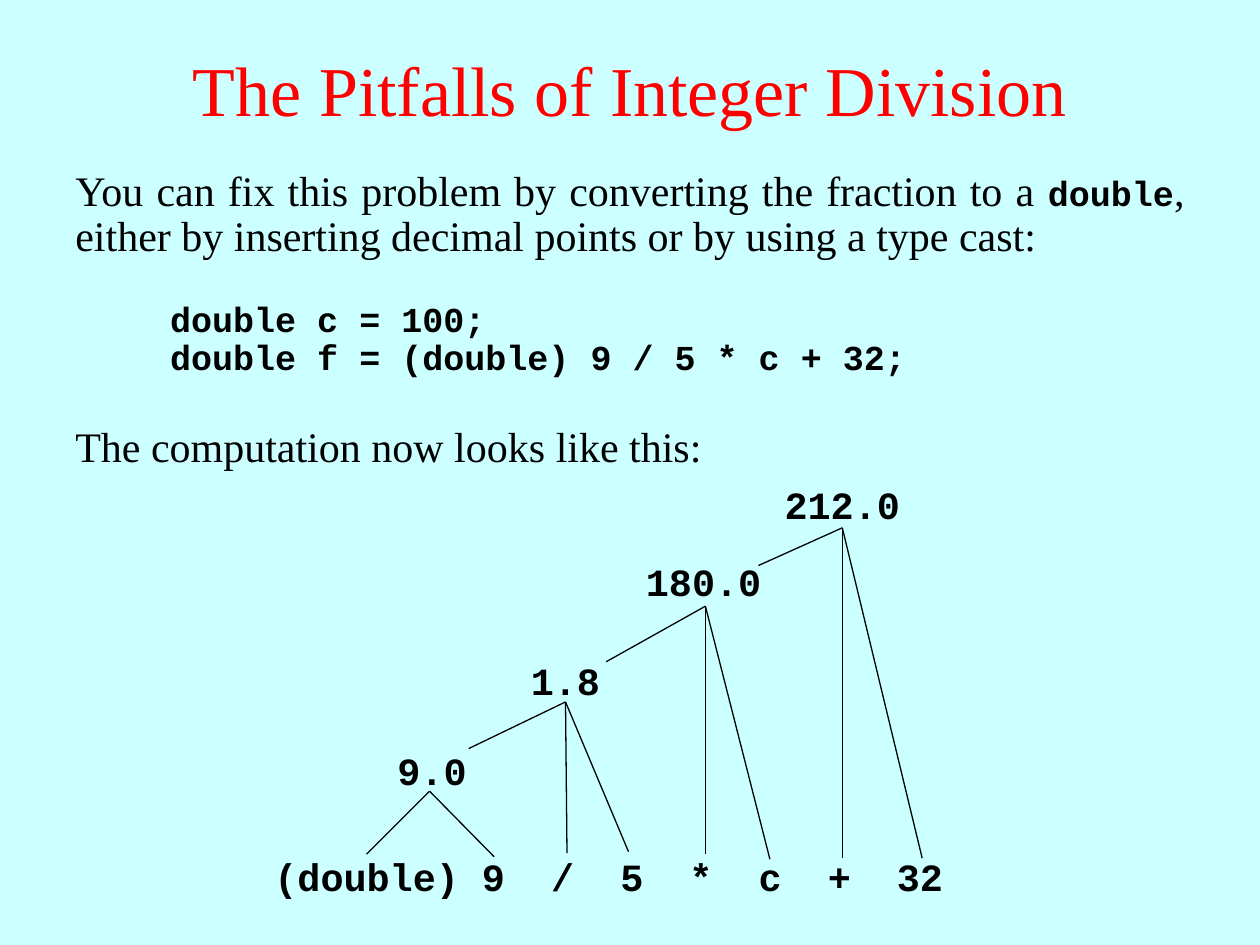
from dataclasses import dataclass

from lxml import etree
from pptx import Presentation
from pptx import util as u
from pptx.dml.color import RGBColor
from pptx.enum import shapes, text
from pptx.oxml import ns


@dataclass(frozen=True)
class Theme:
    background: str = "CCFFFF"
    title: str = "FF0000"
    ink: str = "000000"
    serif: str = "Times New Roman"
    mono: str = "Courier New"
    title_size: int = 40
    body_size: int = 24
    code_size: int = 20
    tree_size: int = 22
    line_width: float = 0.75


def add_run(paragraph, words, *, font, size, color, bold=False):
    run = paragraph.add_run()
    run.text = words
    run.font.name = font
    run.font.size = u.Pt(size)
    run.font.bold = bold
    run.font.color.rgb = RGBColor.from_string(color)


class SlideBuilder:
    """Draws the elements of one slide in a shared theme."""

    def __init__(self, slide, theme):
        self.slide = slide
        self.theme = theme
        fill = slide.background.fill
        fill.solid()
        fill.fore_color.rgb = RGBColor.from_string(theme.background)
        self.body = dict(font=theme.serif, size=theme.body_size, color=theme.ink)
        self.code = dict(font=theme.mono, size=theme.code_size, color=theme.ink, bold=True)
        self.node = {**self.code, "size": theme.tree_size}

    def text_box(self, box, lines, align, spacing=0.9, anchor=text.MSO_ANCHOR.TOP):
        shape = self.slide.shapes.add_textbox(*map(u.Cm, box))
        frame = shape.text_frame
        frame.word_wrap = True
        frame.vertical_anchor = anchor
        for index, runs in enumerate(lines):
            paragraph = frame.add_paragraph() if index else frame.paragraphs[0]
            paragraph.alignment = align
            paragraph.line_spacing = spacing
            for words, style in runs:
                add_run(paragraph, words, **style)

    def title(self, words):
        style = dict(font=self.theme.serif, size=self.theme.title_size, color=self.theme.title)
        self.text_box((0, 0.2, 25.4, 3.18), [[(words, style)]], text.PP_ALIGN.CENTER,
                      spacing=1.0, anchor=text.MSO_ANCHOR.MIDDLE)

    def prose(self, box, *lines):
        self.text_box(box, lines, text.PP_ALIGN.JUSTIFY)

    def label(self, left, top, width, words):
        self.text_box((left, top, width, 1.09), [[(words, self.node)]], text.PP_ALIGN.CENTER)

    def branch(self, start, end):
        line = self.slide.shapes.add_connector(
            shapes.MSO_CONNECTOR.STRAIGHT, *map(u.Cm, (*start, *end)))
        line.line.color.rgb = RGBColor.from_string(self.theme.ink)
        line.line.width = u.Pt(self.theme.line_width)
        etree.SubElement(line._element.spPr, ns.qn("a:effectLst"))

    def tree_node(self, words, box, apex, ends):
        for end in ends:
            self.branch(apex, end)
        self.label(*box, words)


TREE = [
    ("1.8", (10.13, 13.23, 2.54), (11.4, 14.15), [(9.45, 15.09), (11.43, 17.2), (12.67, 17.17)]),
    ("180.0", (12.7, 11.23, 2.97), (14.22, 12.22), [(12.22, 13.34), (14.22, 17.22), (15.52, 17.32)]),
    ("212.0", (15.39, 9.68, 3.18), (16.98, 10.64), [(15.29, 11.4), (16.98, 17.3), (18.59, 17.3)]),
    ("9.0", (7.44, 15.04, 2.54), (8.66, 15.95), [(7.39, 17.22), (9.96, 17.27)]),
]


def main():
    presentation = Presentation()
    presentation.slide_width = u.Cm(25.4)
    presentation.slide_height = u.Cm(19.05)
    slide = presentation.slides.add_slide(presentation.slide_layouts[6])
    builder = SlideBuilder(slide, Theme())
    body, code = builder.body, builder.code

    builder.title("The Pitfalls of Integer Division")
    builder.prose((1.27, 3.3, 22.86, 2.08), [
        ("You can fix this problem by converting the fraction to a ", body),
        ("double", code),
        (", either by inserting decimal points or by using a type cast:", body),
    ])
    builder.prose((3.18, 5.97, 20.32, 1.78),
                  [("double c = 100;", code)],
                  [("double f = (double) 9 / 5 * c + 32;", code)])
    builder.prose((1.27, 8.46, 22.86, 1.17), [("The computation now looks like this:", body)])
    for node in TREE:
        builder.tree_node(*node)
    builder.label(1.9, 17.17, 20.75, "(double) 9  /  5  *  c  +  32")
    presentation.save("out.pptx")


if __name__ == "__main__":
    main()
